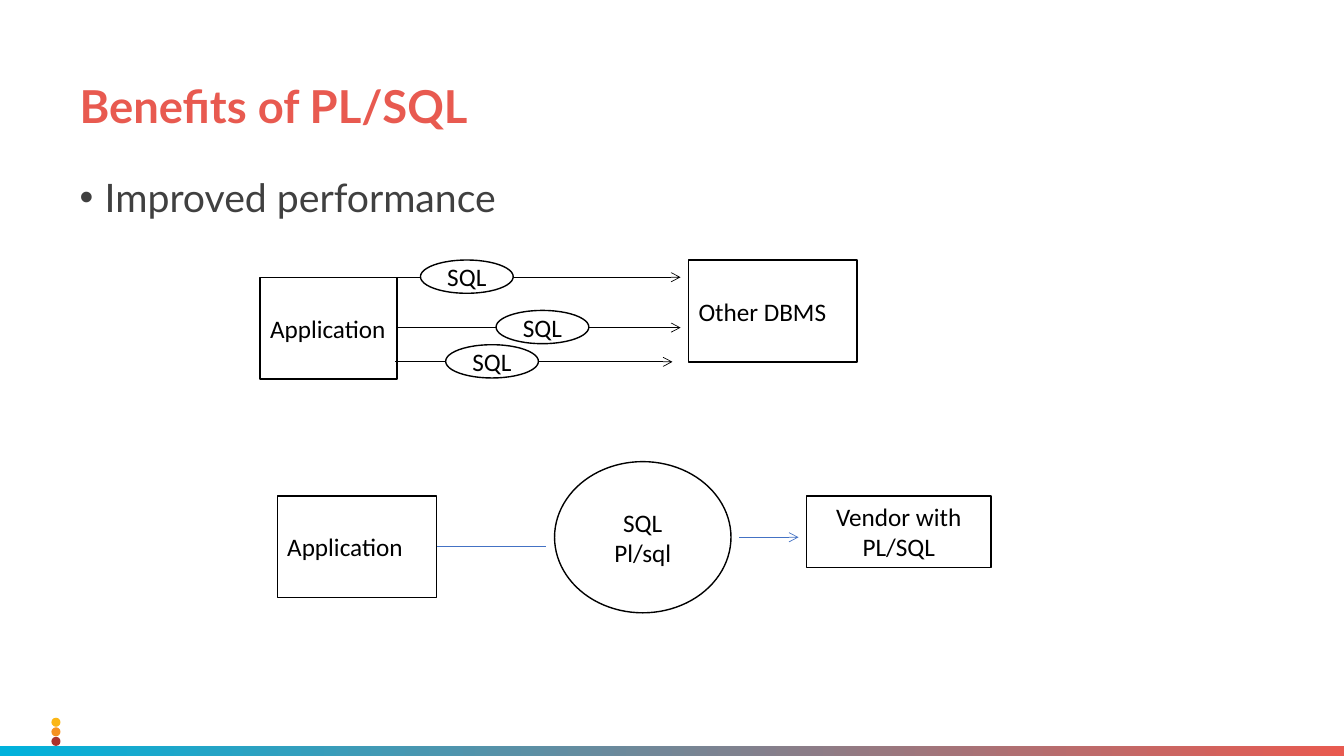
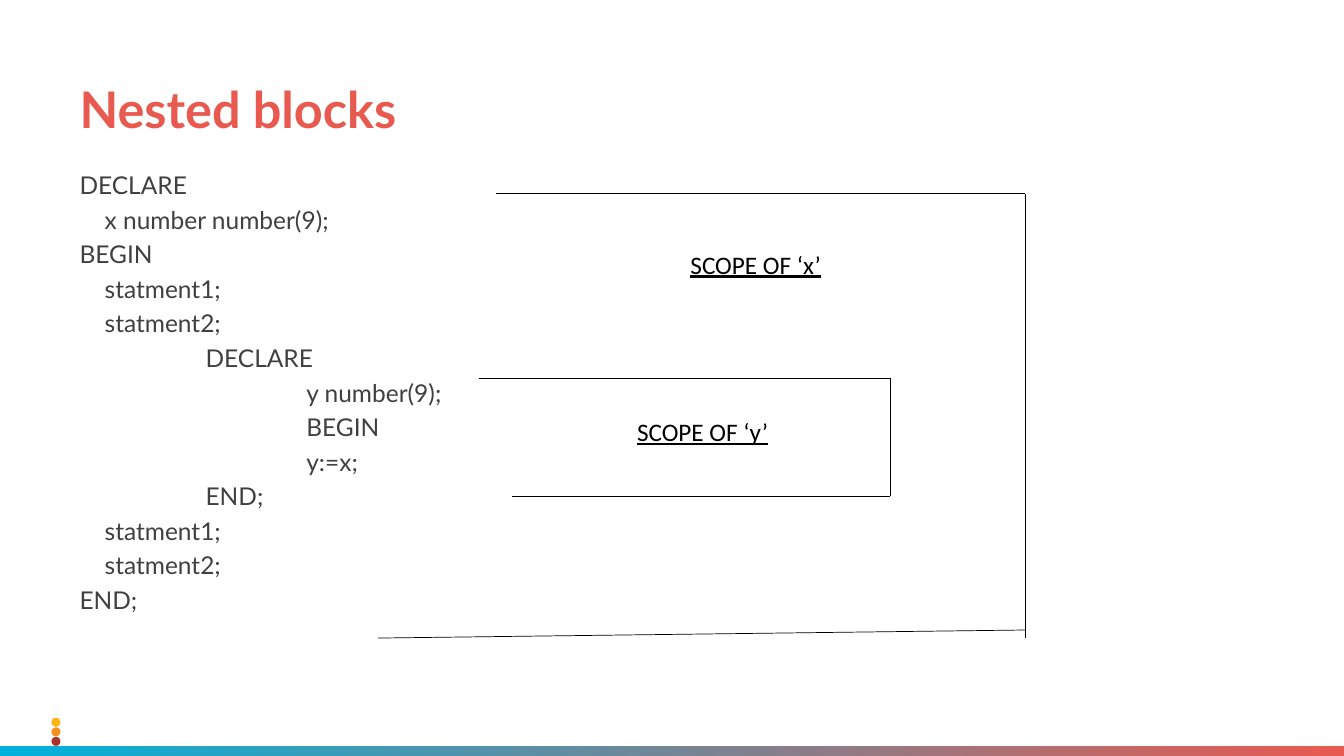
"""Build two slides on PL/SQL: its performance benefit and the scope of nested blocks."""
from lxml import etree
from pptx import Presentation
from pptx.dml.color import RGBColor
from pptx.enum import shapes as kinds, text as txt
from pptx.oxml import ns
from pptx.util import Inches, Pt

CORAL = RGBColor(0xE8, 0x5A, 0x50)
CYAN = RGBColor(0x00, 0xB2, 0xDC)
YELLOW = RGBColor(0xFB, 0xB6, 0x15)
ORANGE = RGBColor(0xF5, 0x91, 0x20)
BRICK = RGBColor(0xAC, 0x32, 0x2C)
GREY = RGBColor(0x40, 0x40, 0x40)
BLUE = RGBColor(0x44, 0x72, 0xC4)
BLACK = RGBColor(0, 0, 0)
WHITE = RGBColor(0xFF, 0xFF, 0xFF)

HEADING_FONT, DIAGRAM_FONT = "Lato", "Calibri"
RECT, OVAL = kinds.MSO_SHAPE.RECTANGLE, kinds.MSO_SHAPE.OVAL
LEFT, CENTER = txt.PP_ALIGN.LEFT, txt.PP_ALIGN.CENTER

CODE = [
    (0, "DECLARE"),
    (1, "x number number(9);"),
    (0, "BEGIN"),
    (1, "statment1;"),
    (1, "statment2;"),
    (2, "DECLARE"),
    (3, "y number(9);"),
    (3, "BEGIN"),
    (3, "y:=x;"),
    (2, "END;"),
    (1, "statment1;"),
    (1, "statment2;"),
    (0, "END;"),
]


def add_child(parent, tag, **attributes):
    return etree.SubElement(parent, ns.qn(tag), **attributes)


def style(paragraph, size, font, color, spacing=None):
    paragraph.font.size = Pt(size)
    paragraph.font.name = font
    paragraph.font.color.rgb = color
    if spacing:
        paragraph.line_spacing = spacing


def add_plain_shape(slide, kind, left, top, width, height):
    shape = slide.shapes.add_shape(
        kind, Inches(left), Inches(top), Inches(width), Inches(height))
    shape.shadow.inherit = False
    shape.line.fill.background()
    return shape


def add_text_frame(slide, left, top, width, height):
    frame = slide.shapes.add_textbox(
        Inches(left), Inches(top), Inches(width), Inches(height)).text_frame
    frame.word_wrap = True
    return frame


def add_slide(deck, title, title_size):
    slide = deck.slides.add_slide(deck.slide_layouts[6])
    for row, color in enumerate((YELLOW, ORANGE, BRICK)):
        dot = add_plain_shape(slide, OVAL, 0.51, 7.12 + row * 0.095, 0.09, 0.09)
        dot.fill.solid()
        dot.fill.fore_color.rgb = color
    band = add_plain_shape(slide, RECT, 0, 7.4, 13.33, 0.1)
    band.fill.gradient()
    band.fill.gradient_angle = 0
    for stop, color in zip(band.fill.gradient_stops, (CYAN, CORAL)):
        stop.color.rgb = color
    heading = add_text_frame(slide, 0.69, 0.79, 12.09, 0.74).paragraphs[0]
    heading.text = title
    style(heading, title_size, HEADING_FONT, CORAL, 0.9)
    heading.font.bold = True
    return slide


def add_body(slide):
    return add_text_frame(slide, 0.69, 1.72, 12.09, 4.76)


def add_bullet(slide, wording):
    point = add_body(slide).paragraphs[0]
    point.text = wording
    style(point, 28, HEADING_FONT, GREY, 0.9)
    properties = point._p.get_or_add_pPr()
    properties.set("marL", str(Inches(0.25)))
    properties.set("indent", str(Inches(-0.25)))
    add_child(properties, "a:buFont", typeface="Arial")
    add_child(properties, "a:buChar", char="•")


def add_code(slide, lines):
    frame = add_body(slide)
    for number, (level, wording) in enumerate(lines):
        line = frame.add_paragraph() if number else frame.paragraphs[0]
        line.text = wording
        style(line, 17.5, HEADING_FONT, GREY, 0.7)
        line.space_before = Pt(10)
        margin = level - 0.75 if level else 0
        line._p.get_or_add_pPr().set("marL", str(Inches(margin)))


def add_node(slide, kind, wording, left, top, width, height, align=CENTER):
    node = add_plain_shape(slide, kind, left, top, width, height)
    node.fill.solid()
    node.fill.fore_color.rgb = WHITE
    node.line.color.rgb = BLACK
    node.line.width = Pt(1)
    frame = node.text_frame
    frame.word_wrap = True
    frame.vertical_anchor = txt.MSO_ANCHOR.MIDDLE
    if align == LEFT:
        frame.margin_right = 0
    frame.text = wording
    for paragraph in frame.paragraphs:
        style(paragraph, 18, DIAGRAM_FONT, BLACK)
        paragraph.alignment = align


def add_line(slide, start, end, color=BLACK, arrow=False):
    line = slide.shapes.add_connector(
        kinds.MSO_CONNECTOR.STRAIGHT, *map(Inches, start + end))
    line.line.color.rgb = color
    line.line.width = Pt(0.5)
    if arrow:
        add_child(line.line._ln, "a:tailEnd", type="arrow")
    add_child(line._element.spPr, "a:effectLst")


def add_scope(slide, label, label_left, label_top, sides):
    for start, end in sides:
        add_line(slide, start, end)
    caption = add_text_frame(slide, label_left, label_top, 1.67, 0.4).paragraphs[0]
    caption.text = label
    style(caption, 18, DIAGRAM_FONT, BLACK)
    caption.font.underline = True


def build_benefits(deck):
    slide = add_slide(deck, "Benefits of PL/SQL", 32.4)
    add_bullet(slide, "Improved performance")

    add_node(slide, RECT, "Application", 2.58, 2.75, 1.36, 1.01, LEFT)
    calls = [(2.75, 3.92, 6.75, 4.17), (3.25, 3.94, 6.75, 4.92), (3.59, 3.92, 6.67, 4.42)]
    for y, start, end, _ in calls:
        add_line(slide, (start, y), (end, y), arrow=True)
    for y, _, _, call_left in calls:
        add_node(slide, OVAL, "SQL", call_left, y - 0.17, 0.92, 0.33)
    add_node(slide, RECT, "Other DBMS", 6.83, 2.58, 1.67, 1.01, LEFT)

    add_node(slide, RECT, "Application", 2.75, 4.92, 1.58, 1.01, LEFT)
    add_line(slide, (4.33, 5.42), (5.42, 5.42), BLUE)
    add_node(slide, OVAL, "SQL\nPl/sql", 5.5, 4.58, 1.75, 1.5)
    add_line(slide, (7.33, 5.33), (7.92, 5.33), BLUE, arrow=True)
    add_node(slide, RECT, "Vendor with PL/SQL", 8, 4.92, 1.83, 0.71)


def build_nested_blocks(deck):
    slide = add_slide(deck, "Nested blocks", 36)
    add_code(slide, CODE)
    add_scope(slide, "SCOPE OF ‘y’", 6.22, 4.08, [
        ((4.75, 3.75), (8.83, 3.75)),
        ((8.83, 3.75), (8.83, 4.92)),
        ((5.08, 4.92), (8.83, 4.92)),
    ])
    add_scope(slide, "SCOPE OF ‘x’", 6.75, 2.42, [
        ((4.92, 1.92), (10.17, 1.92)),
        ((10.17, 1.92), (10.17, 6.33)),
        ((3.75, 6.33), (10.17, 6.25)),
    ])


def main():
    deck = Presentation()
    deck.slide_width, deck.slide_height = Inches(13.33), Inches(7.5)
    build_benefits(deck)
    build_nested_blocks(deck)
    deck.save("out.pptx")


if __name__ == "__main__":
    main()
